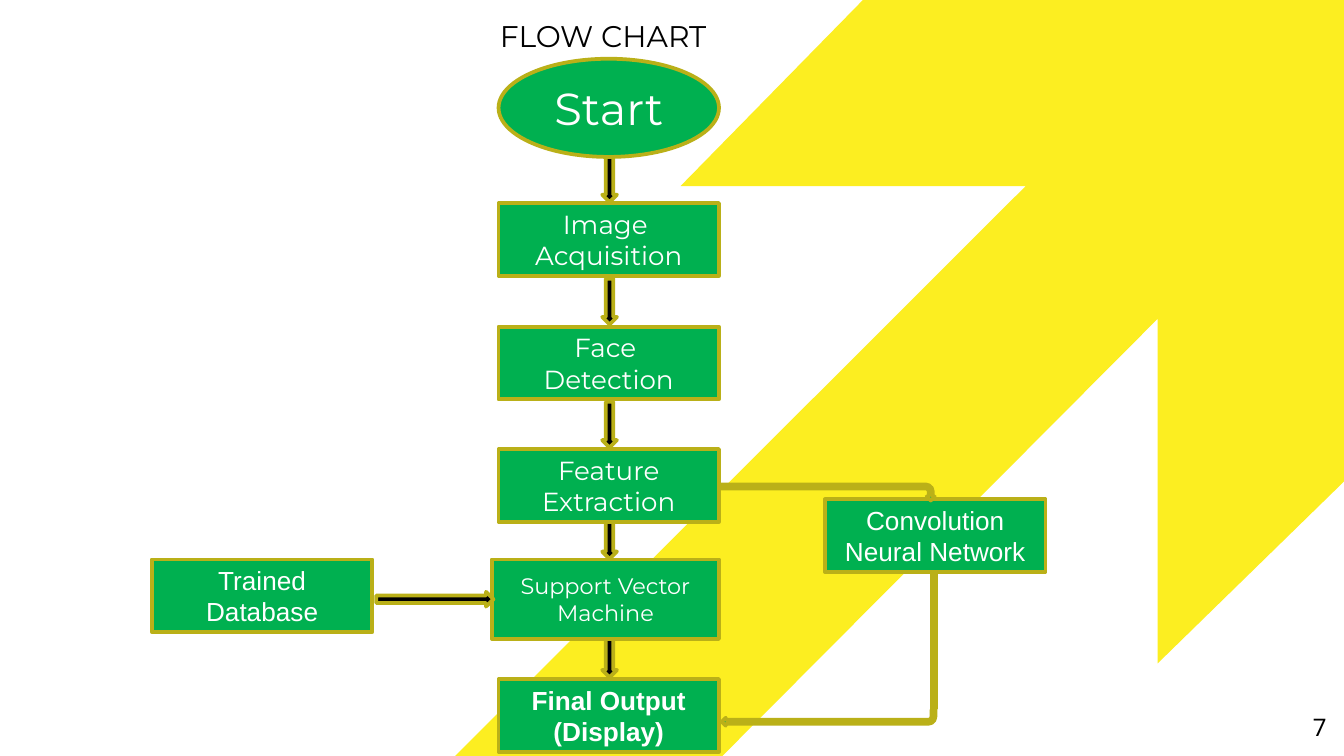
"""Build the flow chart slide of a face recognition pipeline."""
import pptx
import pptx.dml.color
import pptx.enum.shapes
import pptx.enum.text
import pptx.util

Pt = pptx.util.Pt
MSO = pptx.enum.shapes.MSO_SHAPE
ALIGN = pptx.enum.text.PP_ALIGN
ANCHOR = pptx.enum.text.MSO_ANCHOR
GREEN, OLIVE, YELLOW, BLACK, WHITE = "00B050", "BAB018", "FCEE21", "000000", "FFFFFF"


def paint(sp, fill, line=None):
    sp.shadow.inherit = False
    sp.fill.solid()
    sp.fill.fore_color.rgb = pptx.dml.color.RGBColor.from_string(fill)
    if line:
        sp.line.color.rgb = pptx.dml.color.RGBColor.from_string(line)
        sp.line.width = Pt(2)
    else:
        sp.line.fill.background()


def write(sp, text, size=14, font="Montserrat", color=WHITE, bold=False,
          align=ALIGN.CENTER, anchor=ANCHOR.MIDDLE):
    tf = sp.text_frame
    tf.word_wrap = True
    tf.auto_size = pptx.enum.text.MSO_AUTO_SIZE.NONE
    tf.vertical_anchor = anchor
    for i, part in enumerate(text.split("\n")):
        p = tf.paragraphs[0] if i == 0 else tf.add_paragraph()
        p.alignment = align
        r = p.add_run()
        r.text = part
        r.font.size = Pt(size)
        r.font.name = font
        r.font.bold = bold
        r.font.color.rgb = pptx.dml.color.RGBColor.from_string(color)


prs = pptx.Presentation()
prs.slide_width, prs.slide_height = Pt(720), Pt(405)
s = prs.slides.add_slide(prs.slide_layouts[5])

outline = [(462.3, 0), (364.6, 99.7), (549.5, 99.7), (243.8, 405), (387, 405),
           (620.2, 170.8), (620.2, 355.4), (720, 258), (720, 0)]
points = [(Pt(x), Pt(y)) for x, y in outline]
fb = s.shapes.build_freeform(*points[0])
fb.add_line_segments(points[1:], close=True)
paint(fb.convert_to_shape(), YELLOW)

title = s.shapes.title
title.left, title.top, title.width, title.height = Pt(260.6), Pt(5.6), Pt(216), Pt(26.6)
write(title, "FLOW CHART", size=16, color=BLACK, align=ALIGN.LEFT, anchor=ANCHOR.TOP)

number = s.shapes.add_textbox(Pt(667.4), Pt(373.7), Pt(43.2), Pt(31))
tf = number.text_frame
tf.margin_left = tf.margin_right = tf.margin_top = tf.margin_bottom = 0
write(number, "7", size=13, font="Roboto", color=BLACK, align=ALIGN.RIGHT)

for top in (83.8, 149.3, 215.3, 275, 338.4):
    sp = s.shapes.add_shape(MSO.DOWN_ARROW, Pt(322.6), Pt(top), Pt(7.9), Pt(24.5))
    paint(sp, BLACK, OLIVE)

COL, W, H = 267.1, 118.1, 39
steps = [
    (MSO.OVAL, COL, 31.5, W, 52.6, "Start", dict(size=24)),
    (MSO.RECTANGLE, COL, 108.8, W, H, "Image\u00a0\nAcquisition", {}),
    (MSO.RECTANGLE, COL, 175, W, H, "Face\u00a0\nDetection", {}),
    (MSO.RECTANGLE, COL, 240.6, W, H, "Feature Extraction", {}),
    (MSO.RECTANGLE, 263.5, 299.7, 121.7, 42.6, "Support Vector\nMachine", dict(size=12)),
    (MSO.RECTANGLE, COL, 363.8, W, H, "Final Output\n(Display)", dict(font="Arial", bold=True)),
    (MSO.RECTANGLE, 442, 267.5, W, H, "Convolution Neural Network", dict(font="Arial")),
    (MSO.RECTANGLE, 81.4, 299.7, W, H, "Trained Database", dict(font="Arial")),
]
for kind, x, y, w, h, text, fmt in steps:
    sp = s.shapes.add_shape(kind, Pt(x), Pt(y), Pt(w), Pt(h))
    paint(sp, GREEN, OLIVE)
    write(sp, text, **fmt)

links = [
    (MSO.DOWN_ARROW, 229, 289.6, 7.9, 62.8, 270, BLACK),
    (MSO.BENT_ARROW, 439.2, 206.6, 8.6, 114.5, 90, GREEN),
    (MSO.BENT_ARROW, 386.6, 380.2, 114.5, 8.6, 180, GREEN),
    (MSO.MATH_MINUS, 450.7, 339.1, 99.4, 7.9, 270, GREEN),
]
for kind, x, y, w, h, turn, fill in links:
    sp = s.shapes.add_shape(kind, Pt(x), Pt(y), Pt(w), Pt(h))
    sp.rotation = turn
    paint(sp, fill, OLIVE)

prs.save("out.pptx")
